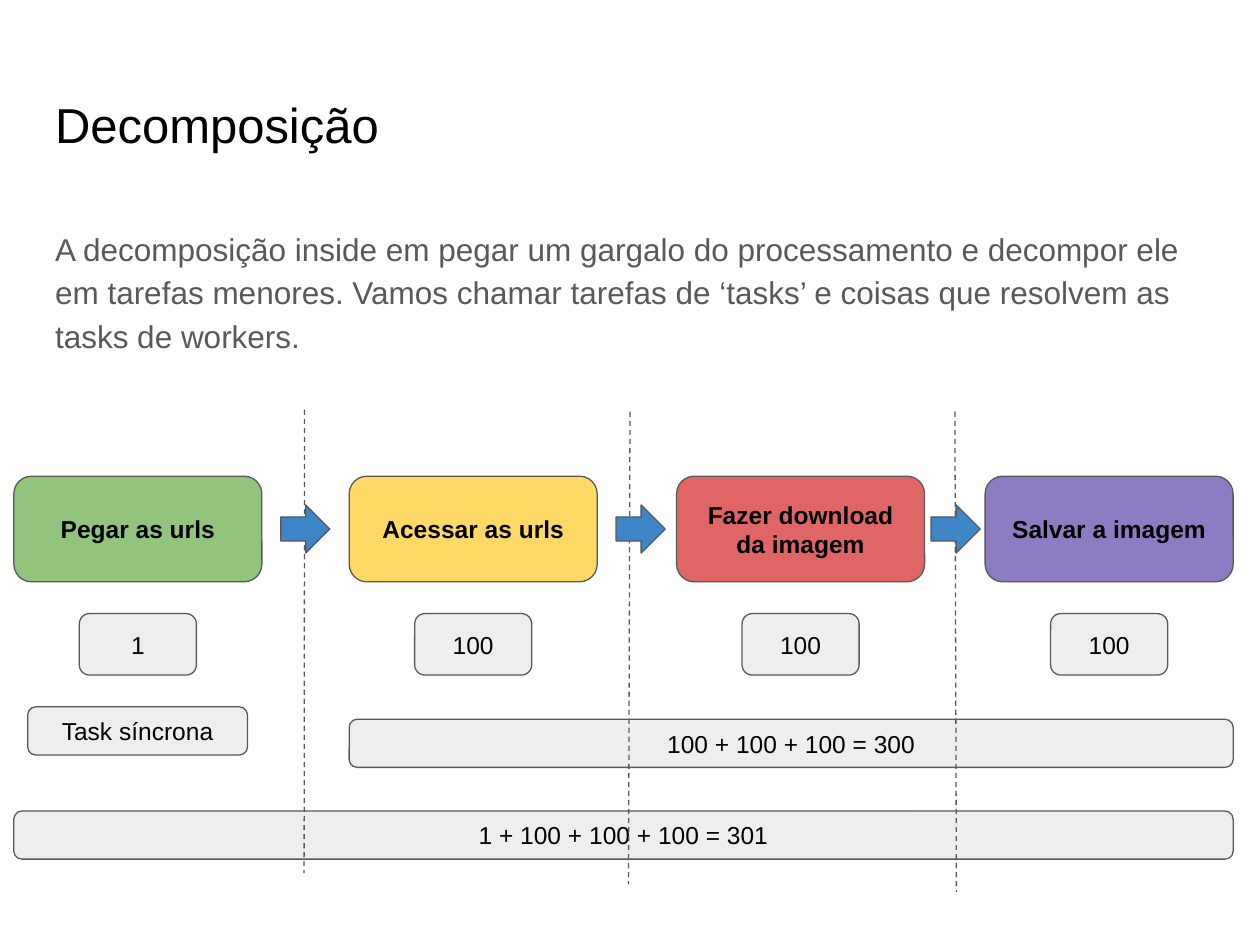
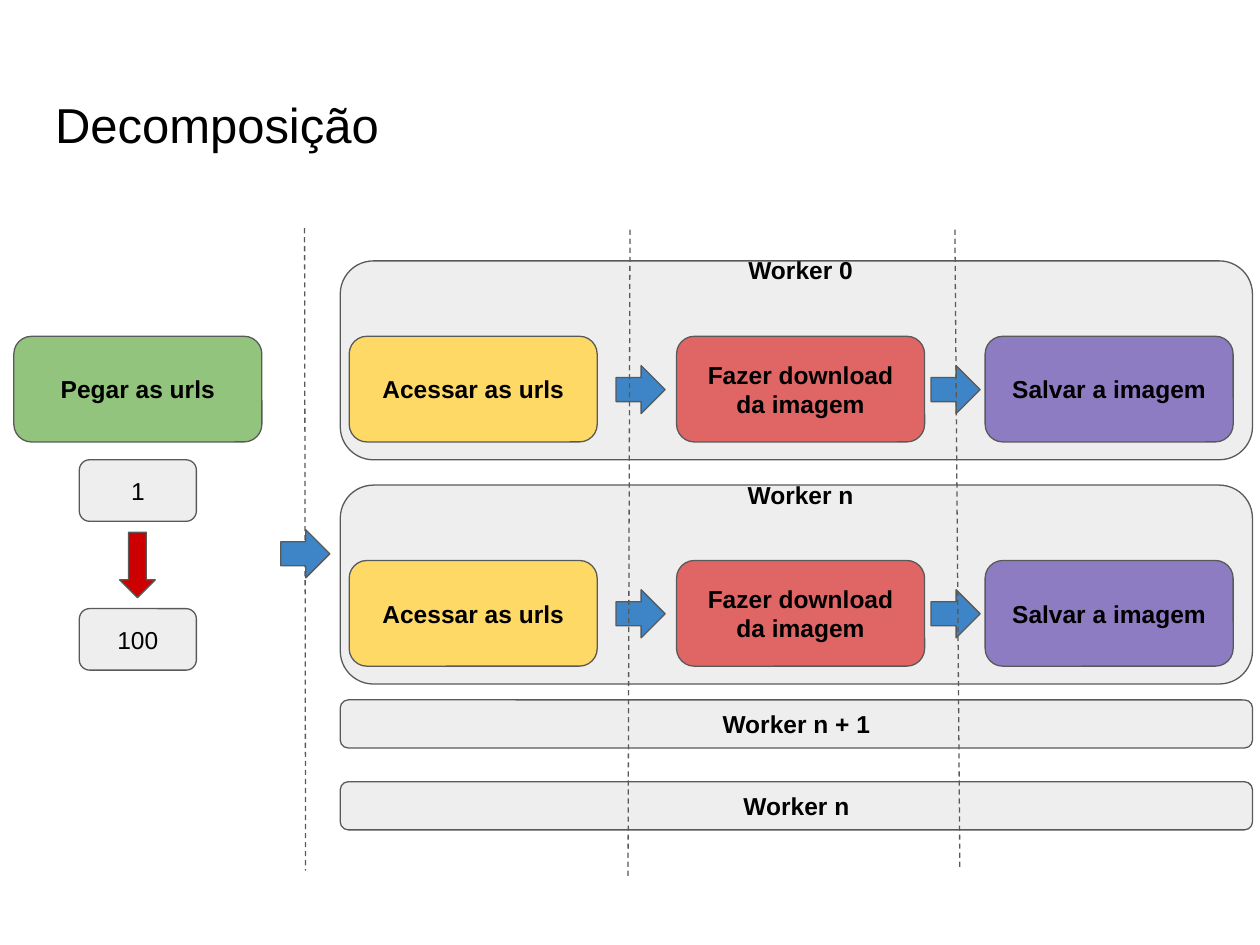
import pptx
import pptx.dml.color
import pptx.enum.dml
import pptx.enum.shapes
import pptx.enum.text
import pptx.oxml
import pptx.oxml.ns
import pptx.util

Cm, Pt = pptx.util.Cm, pptx.util.Pt
SHAPE = pptx.enum.shapes.MSO_SHAPE
ANCHOR = pptx.enum.text.MSO_ANCHOR
ALIGN = pptx.enum.text.PP_ALIGN

COLORS = {
    "black": "000000", "gray": "595959", "panel": "EEEEEE",
    "green": "93C47D", "yellow": "FFD966", "red": "E06666",
    "purple": "8E7CC3", "blue": "3D85C6", "dark red": "CC0000",
}

# Lengths in centimetres
STEPS = [
    ("Pegar as urls", "green", 0.28),
    ("Acessar as urls", "yellow", 7.04),
    ("Fazer download da imagem", "red", 13.64),
    ("Salvar a imagem", "purple", 19.86),
]
ARROW_LEFTS = [5.66, 12.42, 18.77]
STEP_WIDTH, STEP_HEIGHT = 5, 2.13
ARROW_WIDTH, ARROW_HEIGHT = 0.99, 0.97
COUNT_WIDTH, COUNT_HEIGHT = 2.36, 1.24
BAR_HEIGHT = 0.97
WORKERS_LEFT, WORKERS_WIDTH = 6.86, 18.39

FRAME_FORMAT = {
    "word_wrap": True,
    "auto_size": pptx.enum.text.MSO_AUTO_SIZE.NONE,
    "margin_left": Cm(0.25), "margin_right": Cm(0.25),
    "margin_top": Cm(0.25), "margin_bottom": Cm(0.25),
}
BODY_FORMAT = {
    "line_spacing": 1.15, "space_before": Pt(0), "space_after": Pt(16),
}


def rgb(color):
    return pptx.dml.color.RGBColor.from_string(COLORS[color])


def set_all(target, values):
    for attribute, value in values.items():
        setattr(target, attribute, value)


def box(left, top, width, height):
    return [Cm(length) for length in (left, top, width, height)]


def write(holder, text, size=14, bold=False, color="black",
          anchor=ANCHOR.MIDDLE, align=ALIGN.CENTER):
    """Put one formatted paragraph into a shape and return the paragraph."""
    frame = holder.text_frame
    set_all(frame, {**FRAME_FORMAT, "vertical_anchor": anchor})
    paragraph = frame.paragraphs[0]
    paragraph.alignment = align
    run = paragraph.add_run()
    run.text = text
    set_all(run.font, {"name": "Arial", "size": Pt(size), "bold": bold})
    run.font.color.rgb = rgb(color)
    return paragraph


def fill_placeholder(placeholder, bounds, text, size, color):
    set_all(placeholder, dict(zip(("left", "top", "width", "height"),
                                  box(*bounds))))
    return write(placeholder, text, size, color=color,
                 anchor=ANCHOR.TOP, align=ALIGN.LEFT)


def add_titled_slide(deck, layout):
    slide = deck.slides.add_slide(deck.slide_layouts[layout])
    fill_placeholder(slide.shapes.title, (0.86, 1.65, 23.67, 2.13),
                     "Decomposição", 28, "black")
    return slide


def add_body(slide, text):
    paragraph = fill_placeholder(slide.placeholders[1],
                                 (0.86, 4.27, 23.67, 4.65), text, 18, "gray")
    set_all(paragraph, BODY_FORMAT)
    properties = paragraph._p.get_or_add_pPr()
    properties.set("marL", "0")
    properties.set("indent", "0")
    properties.append(pptx.oxml.parse_xml(
        f"<a:buNone {pptx.oxml.ns.nsdecls('a')}/>"))


def add_outlined(slide, preset, bounds, color):
    shape = slide.shapes.add_shape(preset, *box(*bounds))
    shape.shadow.inherit = False
    shape.fill.solid()
    shape.fill.fore_color.rgb = rgb(color)
    shape.line.color.rgb = rgb("gray")
    shape.line.width = Pt(0.75)
    return shape


def add_panel(slide, bounds, text=None, bold=False, color="panel"):
    panel = add_outlined(slide, SHAPE.ROUNDED_RECTANGLE, bounds, color)
    if text:
        write(panel, text, bold=bold)


def add_steps(slide, steps, top):
    for label, color, left in steps:
        add_panel(slide, (left, top, STEP_WIDTH, STEP_HEIGHT), label, True, color)


def add_arrows(slide, lefts, top):
    for left in lefts:
        add_outlined(slide, SHAPE.RIGHT_ARROW,
                     (left, top, ARROW_WIDTH, ARROW_HEIGHT), "blue")


def add_count(slide, step, top, count):
    """Centre a task count under the given step."""
    left = step[2] + (STEP_WIDTH - COUNT_WIDTH) / 2
    add_panel(slide, (left, top, COUNT_WIDTH, COUNT_HEIGHT), count)


def add_dividers(slide, dividers):
    for ends in dividers:
        divider = slide.shapes.add_connector(
            pptx.enum.shapes.MSO_CONNECTOR.STRAIGHT, *box(*ends))
        divider.line.color.rgb = rgb("gray")
        divider.line.width = Pt(0.75)
        divider.line.dash_style = pptx.enum.dml.MSO_LINE.DASH
        divider._element.spPr.append(pptx.oxml.parse_xml(
            f"<a:effectLst {pptx.oxml.ns.nsdecls('a')}/>"))


def add_worker(slide, top, name):
    """Add a worker panel holding the three parallel steps."""
    add_panel(slide, (WORKERS_LEFT, top, WORKERS_WIDTH, 4.01))
    add_steps(slide, STEPS[1:], top + 1.52)
    add_arrows(slide, ARROW_LEFTS[1:], top + 2.11)
    heading = slide.shapes.add_textbox(*box(13.51, top - 0.36, 5.26, 1.32))
    write(heading, name, bold=True, anchor=ANCHOR.TOP)


def build_sequence(deck):
    slide = add_titled_slide(deck, 1)
    add_body(slide, "A decomposição inside em pegar um gargalo do processamento "
                    "e decompor ele em tarefas menores. Vamos chamar tarefas de "
                    "‘tasks’ e coisas que resolvem as tasks de workers.")
    add_panel(slide, (0.28, 16.35, 24.58, BAR_HEIGHT), "1 + 100 + 100 + 100 = 301")
    add_panel(slide, (7.04, 14.5, 17.82, BAR_HEIGHT), "100 + 100 + 100 = 300")
    add_panel(slide, (0.56, 14.25, 4.43, BAR_HEIGHT), "Task síncrona")
    add_dividers(slide, [(6.14, 8.26, 6.13, 17.6), (12.7, 8.3, 12.67, 17.83),
                         (19.25, 8.3, 19.28, 17.98)])
    add_steps(slide, STEPS, 9.6)
    add_arrows(slide, ARROW_LEFTS, 10.18)
    for step, count in zip(STEPS, ("1", "100", "100", "100")):
        add_count(slide, step, 12.37, count)


def build_workers(deck):
    slide = add_titled_slide(deck, 5)
    add_steps(slide, STEPS[:1], 6.78)
    add_count(slide, STEPS[0], 9.27, "1")
    add_count(slide, STEPS[0], 12.27, "100")
    growth = add_outlined(slide, SHAPE.RIGHT_ARROW, (2.11, 11.03, 1.32, 0.72),
                          "dark red")
    growth.rotation = 90
    add_dividers(slide, [(6.14, 4.6, 6.16, 17.55)])
    add_arrows(slide, ARROW_LEFTS[:1], 10.68)
    for top, name in ((5.26, "Worker 0"), (9.78, "Worker n")):
        add_worker(slide, top, name)
    for top, name in ((14.11, "Worker n + 1"), (15.76, "Worker n")):
        add_panel(slide, (WORKERS_LEFT, top, WORKERS_WIDTH, BAR_HEIGHT), name, True)
    add_dividers(slide, [(12.7, 4.63, 12.66, 17.7), (19.25, 4.63, 19.35, 17.55)])


def main():
    deck = pptx.Presentation()
    deck.slide_width, deck.slide_height = Cm(25.4), Cm(19.05)
    build_sequence(deck)
    build_workers(deck)
    deck.save("out.pptx")


if __name__ == "__main__":
    main()
